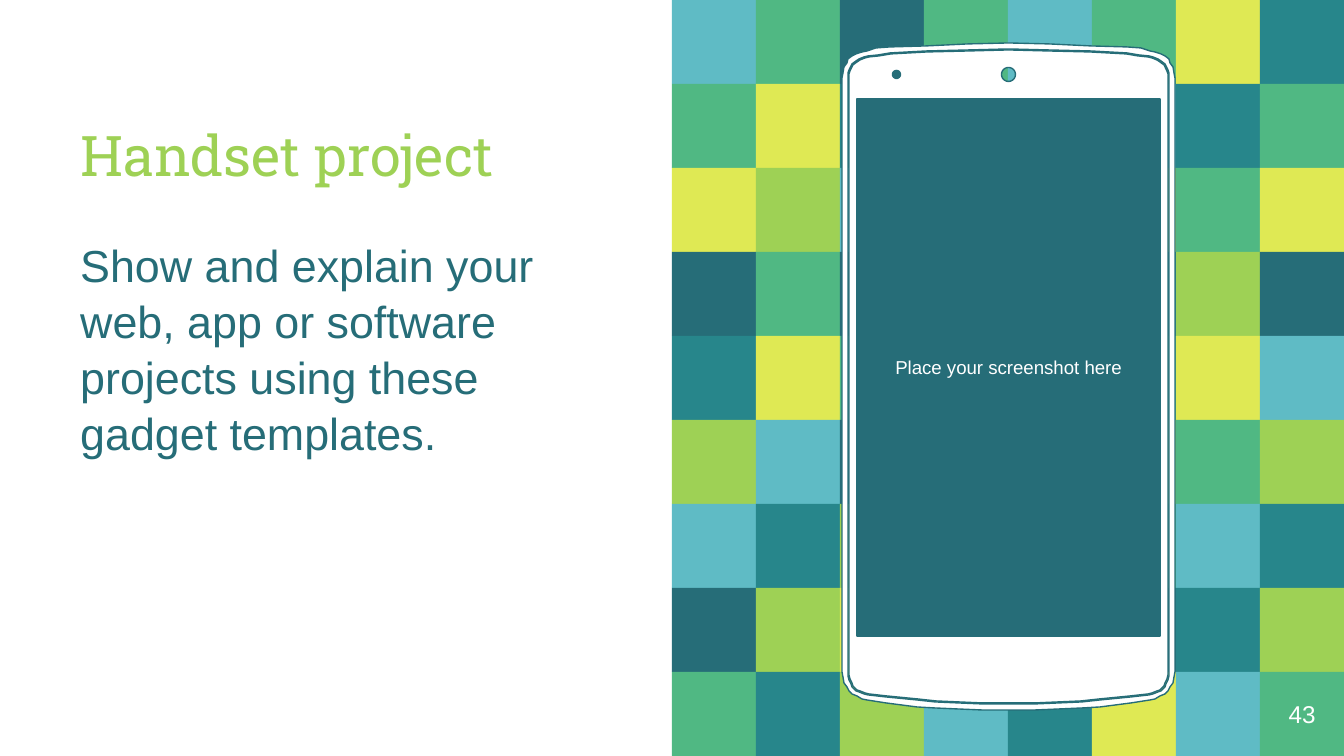
import math

from pptx import Presentation
from pptx import util as u
from pptx.dml import color
from pptx.enum import shapes, text

WIDTH, HEIGHT = 1344, 756
SCALE = u.Inches(10) / WIDTH  # EMU per px
CELL = 84
MOSAIC_LEFT = 672

LIME, DARK, WHITE = "9ED155", "266D78", "FFFFFF"
TILE_COLOURS = {"L": LIME, "D": DARK, "Y": "DFE954",
                "G": "50B883", "T": "27868B", "S": "5FBBC5"}
# One letter per tile; dots are cells covered by the phone
MOSAIC = ["SGDGSGYT",
          "GYTDYSTG",
          "YLS..YGY",
          "DGD..TLD",
          "TYG..GYS",
          "LSD..LGL",
          "STL..GST",
          "DLYDGDTL",
          "GTLSTYSG"]

# Left halves of the symmetric phone contours, from top centre to bottom centre
MIRROR_SUM = 2017
CASE = [(1008, 43), (968, 44), (926, 46), (890, 47), (876, 48), (867, 51),
        (862, 52), (856, 54), (852, 56), (848, 59), (847, 63), (844, 67),
        (843, 73), (842, 78), (842, 672), (843, 677), (844, 683), (847, 687),
        (849, 691), (852, 694), (857, 696), (862, 699), (867, 700), (886, 703),
        (917, 707), (935, 708), (958, 709), (982, 710), (1008, 710)]
BEZEL = [(1008, 49), (968, 50), (926, 51), (890, 53), (878, 55), (868, 56),
         (864, 57), (859, 59), (856, 61), (852, 64), (851, 66), (849, 70),
         (848, 73), (848, 78), (848, 672), (848, 676), (849, 680), (851, 684),
         (852, 687), (856, 691), (859, 692), (864, 694), (868, 695), (886, 697),
         (917, 700), (935, 702), (958, 703), (982, 704), (1008, 704)]
SCREEN = (857, 99, 303, 537)


def px(value):
    return u.Emu(round(value * SCALE))


def rgb(value):
    return color.RGBColor.from_string(value)


def paint(shape, fill, line=None):
    shape.shadow.inherit = False
    shape.fill.solid()
    shape.fill.fore_color.rgb = rgb(fill)
    if line:
        shape.line.color.rgb = rgb(line)
        shape.line.width = u.Pt(0.75)
    else:
        shape.line.fill.background()


def write(shape, words, size, colour, font="Arial", frame=None, paragraph=None):
    text_frame = shape.text_frame
    margins = dict.fromkeys(
        ("margin_left", "margin_top", "margin_right", "margin_bottom"), u.Inches(0.1))
    first = text_frame.paragraphs[0]
    run = first.add_run()
    run.text = words
    formats = [
        (text_frame, {"word_wrap": True, **margins, **(frame or {})}),
        (first, paragraph or {}),
        (run.font, {"name": font, "size": u.Pt(size)}),
    ]
    for target, values in formats:
        for name, value in values.items():
            setattr(target, name, value)
    run.font.color.rgb = rgb(colour)


def add_rectangle(slide, box, fill):
    shape = slide.shapes.add_shape(shapes.MSO_SHAPE.RECTANGLE, *map(px, box))
    paint(shape, fill)
    return shape


def add_text(slide, box, *args, **formats):
    write(slide.shapes.add_textbox(*map(px, box)), *args, **formats)


def add_mosaic(slide):
    for row, letters in enumerate(MOSAIC):
        for column, letter in enumerate(letters):
            if letter in TILE_COLOURS:
                box = (MOSAIC_LEFT + column * CELL, row * CELL, CELL, CELL)
                add_rectangle(slide, box, TILE_COLOURS[letter])


def mirrored(half):
    return half + [(MIRROR_SUM - x, y) for x, y in reversed(half)]


def inset(half):
    middle = HEIGHT / 2
    return [(min(x + 1, 1008), y + 1 if y < middle else y - 1) for x, y in half]


def circle(x, y, radius, steps=24):
    angles = [2 * math.pi * step / steps for step in range(steps)]
    return [(x + radius * math.cos(a), y + radius * math.sin(a)) for a in angles]


def add_phone(slide):
    left, top, width, height = SCREEN
    right, bottom = left + width, top + height
    contours = [
        mirrored(CASE),
        mirrored(BEZEL),
        mirrored(inset(BEZEL)),
        [(left, top), (right, top), (right, bottom), (left, bottom)],
        circle(896.5, 74.5, 4),    # sensor
        circle(1008.5, 74.5, 7),   # camera
    ]
    builder = None
    for contour in contours:
        points = [(px(x), px(y)) for x, y in contour]
        if builder is None:
            builder = slide.shapes.build_freeform(*points[0])
        else:
            builder.move_to(*points[0])
        builder.add_line_segments(points[1:], close=True)
    paint(builder.convert_to_shape(), WHITE, DARK)


def main():
    presentation = Presentation()
    presentation.slide_width, presentation.slide_height = px(WIDTH), px(HEIGHT)
    slide = presentation.slides.add_slide(presentation.slide_layouts[6])
    middle = {"vertical_anchor": text.MSO_ANCHOR.MIDDLE}
    centred = {"alignment": text.PP_ALIGN.CENTER}

    # Background tiles and phone
    add_mosaic(slide)
    add_phone(slide)

    # Body, screen and slide number
    add_text(slide, (67, 222, 520, 480),
             "Show and explain your web, app or software projects using these "
             "gadget templates.", 24, DARK,
             paragraph={"space_before": u.Pt(6), "line_spacing": 1.04})
    screen = add_rectangle(slide, SCREEN, DARK)
    write(screen, "Place your screenshot here", 10, WHITE,
          frame=middle, paragraph=centred)
    add_text(slide, (1260, 672, CELL, CELL), "43", 13, WHITE,
             frame=middle, paragraph=centred)

    # Title
    add_text(slide, (67, 75, 520, 126), "Handset project", 30, LIME,
             font="Roboto Slab",
             frame={"vertical_anchor": text.MSO_ANCHOR.BOTTOM})

    presentation.save("out.pptx")


if __name__ == "__main__":
    main()
